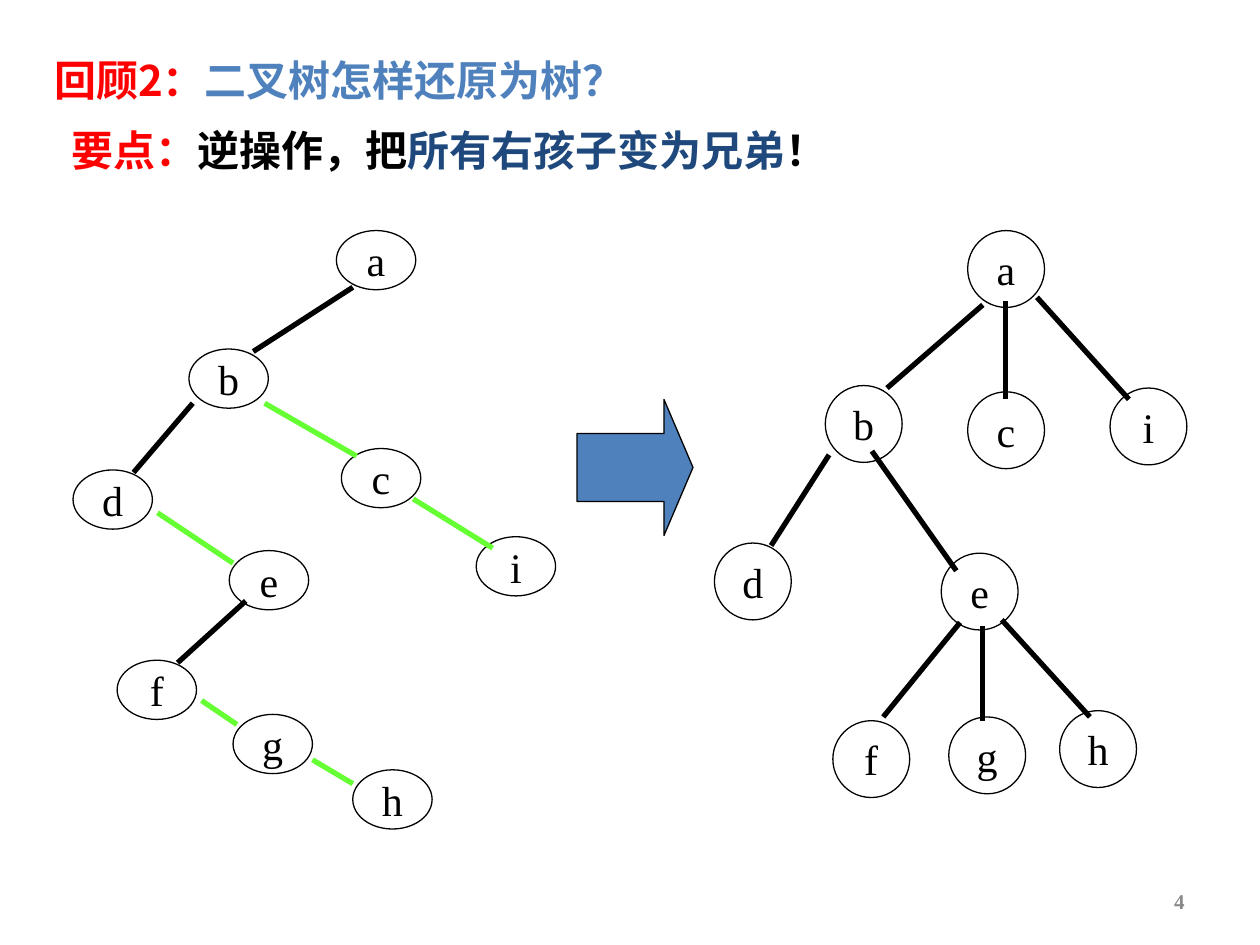
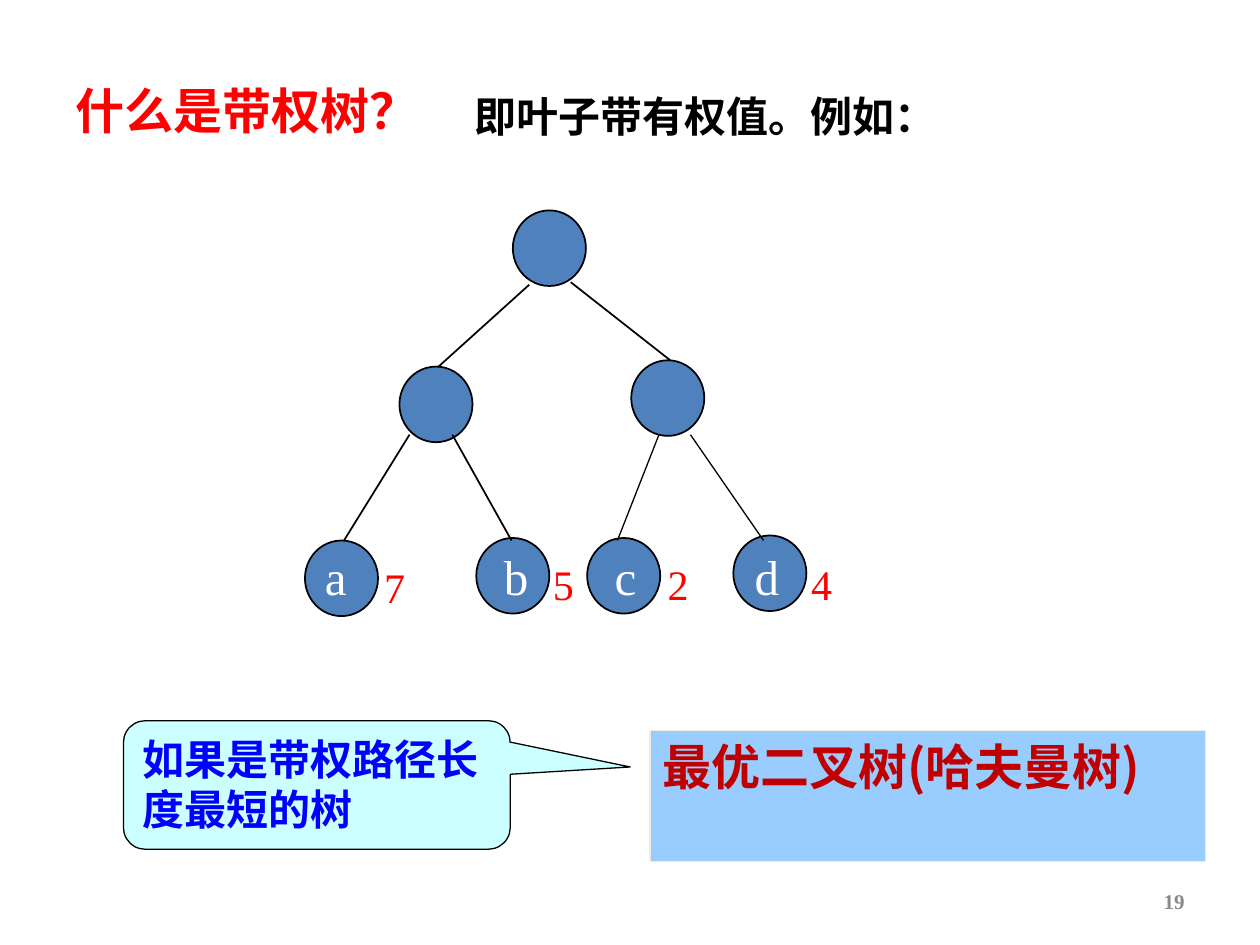
from dataclasses import dataclass

from pptx import Presentation
from pptx.dml.color import RGBColor
from pptx.enum.lang import MSO_LANGUAGE_ID
from pptx.enum.shapes import MSO_CONNECTOR, MSO_SHAPE
from pptx.enum.text import MSO_ANCHOR, PP_ALIGN
from pptx.oxml.ns import qn
from pptx.util import Inches, Pt


@dataclass(frozen=True)
class Theme:
    black: str = "000000"
    white: str = "FFFFFF"
    red: str = "FF0000"
    blue: str = "4F81BD"
    navy: str = "1F497D"
    green: str = "66FF33"
    gray: str = "898989"
    dark_red: str = "C00000"
    bright_blue: str = "0000FF"
    pale_blue: str = "99CCFF"
    pale_cyan: str = "CCFFFF"
    cream: str = "EEECE1"
    chinese: str = "Noto Sans CJK SC"
    heading: str = "Calibri"
    serif: str = "Times New Roman"
    large: int = 28
    normal: int = 24
    small: int = 12


theme = Theme()
presentation = Presentation()
presentation.slide_width = Inches(10)
presentation.slide_height = Inches(7.5)
COLUMN = presentation.slide_width / 100
ROW = presentation.slide_height / 75


def grid(*lengths):
    """Turn alternating columns and rows into slide lengths."""
    return [round(length * (ROW if index % 2 else COLUMN))
            for index, length in enumerate(lengths)]


def write(frame, *runs, size=theme.normal, font=theme.serif, bold=False,
          align=PP_ALIGN.LEFT, anchor=MSO_ANCHOR.TOP, wrap=True):
    """Fill the frame with one paragraph of (text, colour) runs."""
    frame.word_wrap = wrap
    frame.vertical_anchor = anchor
    paragraph = frame.paragraphs[0]
    paragraph.alignment = align
    for text, color in runs:
        run = paragraph.add_run()
        run.text = text
        run.font.size = Pt(size)
        run.font.bold = bold
        run.font.name = font
        run.font.color.rgb = RGBColor.from_string(color)
        run.font.language_id = MSO_LANGUAGE_ID.SIMPLIFIED_CHINESE
        east_asian = run.font._element.makeelement(qn("a:ea"), {"typeface": theme.chinese})
        run.font._element.find(qn("a:latin")).addnext(east_asian)


# Titles and page numbers
restore_title = [("回顾2：", theme.red), ("二叉树怎样还原为树？", theme.blue)]
weight_title = [("什么是带权树？", theme.red)]
slides = []
for title_runs, title_box, size, font, page in [
    (restore_title, (3.3, 3.3, 69.2, 6), theme.normal, theme.chinese, "4"),
    (weight_title, (5, 2.5, 85, 12.5), theme.large, theme.heading, "19"),
]:
    slide = presentation.slides.add_slide(presentation.slide_layouts[5])
    title = slide.shapes.title
    title.left, title.top, title.width, title.height = grid(*title_box)
    write(title.text_frame, *title_runs, size=size, font=font, bold=True,
          anchor=MSO_ANCHOR.MIDDLE)
    number = slide.shapes.add_textbox(*grid(71.7, 69.5, 23.3, 4))
    write(number.text_frame, (page, theme.gray), size=theme.small, bold=True,
          align=PP_ALIGN.RIGHT, anchor=MSO_ANCHOR.MIDDLE)
    slides.append(slide)
restore_slide, weight_slide = slides

# Tree nodes: left and top of each, by tree
binary_nodes = [
    ("a", 26.7, 18.3), ("b", 15, 27.7), ("c", 27.1, 35.6), ("d", 5.8, 37.3),
    ("e", 18.2, 43.7), ("f", 9.3, 52.4), ("g", 18.5, 56.7), ("h", 28, 61.1),
    ("i", 37.8, 42.6),
]
restored_nodes = [
    ("a", 76.8, 18.3), ("b", 65.5, 30.6), ("c", 76.8, 31.1), ("d", 56.7, 43.1),
    ("e", 74.7, 43.9), ("f", 66.1, 57.2), ("g", 75.3, 56.9), ("h", 84.1, 56.4),
    ("i", 88.1, 30.8),
]
weighted_nodes = [
    ("", 40.7, 16.7), ("", 31.7, 29.1), ("", 50.1, 28.6),
    ("", 24.2, 42.9), ("", 37.8, 42.7), ("", 46.6, 42.7), ("", 58.2, 42.5),
]
for slide, nodes, width, height, fill, line_width in [
    (restore_slide, binary_nodes, 6.3, 4.7, None, 0.75),
    (restore_slide, restored_nodes, 6.1, 6.1, theme.white, 0.75),
    (weight_slide, weighted_nodes, 5.8, 6, theme.blue, 1),
]:
    for letter, left, top in nodes:
        node = slide.shapes.add_shape(MSO_SHAPE.OVAL, *grid(left, top, width, height))
        node.shadow.inherit = False
        if fill:
            node.fill.solid()
            node.fill.fore_color.rgb = RGBColor.from_string(fill)
        else:
            node.fill.background()
        node.line.color.rgb = RGBColor.from_string(theme.black)
        node.line.width = Pt(line_width)
        if letter:
            write(node.text_frame, (letter, theme.black), align=PP_ALIGN.CENTER,
                  anchor=MSO_ANCHOR.MIDDLE, wrap=False)

# Tree edges: from column, row to column, row
child_edges = [
    (28, 22.8, 20.1, 27.9), (15.3, 32, 10.6, 37.5), (19.5, 47.7, 14.1, 52.6),
]
sibling_edges = [
    (21, 32, 28.3, 36.2), (32.8, 39.6, 39.1, 43.5), (12.5, 40.7, 18.5, 44.7),
    (16, 55.6, 18.8, 57.5), (24.8, 60.3, 28, 62.2),
]
restored_edges = [
    (78, 24.2, 70.4, 30.8), (79.8, 23.9, 79.8, 31.7), (82.3, 23.6, 89.6, 31.7),
    (65.8, 36.1, 61.2, 43.3), (69.2, 35.8, 75.9, 45.3),
    (76.2, 49.4, 70.1, 56.9), (78, 49.7, 78, 57.2), (79.5, 49.2, 86.5, 56.9),
]
left_edges = [
    (42, 22.6, 34.8, 29.1), (45.3, 22.4, 53.2, 28.6),
    (32.5, 34.5, 27.3, 42.9), (35.9, 34.5, 40.6, 42.9),
]
right_edges = [(52.3, 34.5, 49, 42.9), (54.8, 34.5, 60.6, 42.9)]
for slide, edges, color, line_width in [
    (restore_slide, child_edges, theme.black, 3),
    (restore_slide, sibling_edges, theme.green, 3),
    (restore_slide, restored_edges, theme.black, 3),
    (weight_slide, left_edges, theme.black, 1),
    (weight_slide, right_edges, theme.black, 0.75),
]:
    for ends in edges:
        edge = slide.shapes.add_connector(MSO_CONNECTOR.STRAIGHT, *grid(*ends))
        edge.line.color.rgb = RGBColor.from_string(color)
        edge.line.width = Pt(line_width)
        properties = edge._element.spPr
        properties.append(properties.makeelement(qn("a:effectLst"), {}))

# Leaf letters and their weights
for text, left, top, width, height, color, size in [
    ("a", 24.8, 42.9, 3.7, 5.7, theme.white, theme.large),
    ("b", 39, 42.9, 4, 5.7, theme.white, theme.large),
    ("c", 47.8, 42.9, 3.7, 5.7, theme.white, theme.large),
    ("d", 58.9, 42.9, 3.9, 5.7, theme.white, theme.large),
    ("7", 29.5, 44.1, 3.7, 5, theme.red, theme.normal),
    ("5", 42.9, 43.8, 3.7, 5, theme.red, theme.normal),
    ("2", 52, 43.8, 3.7, 5, theme.red, theme.normal),
    ("4", 63.4, 43.8, 3.7, 5, theme.red, theme.normal),
]:
    label = weight_slide.shapes.add_textbox(*grid(left, top, width, height))
    write(label.text_frame, (text, color), size=size, wrap=False)

# Key sentences beside the titles
key_point = [("要点：", theme.red), ("逆操作，把", theme.black),
             ("所有右孩子变为兄弟", theme.navy), ("！", theme.black)]
definition = [("即叶子带有权值。例如：", theme.black)]
for slide, box, runs in [
    (restore_slide, (4.7, 9.4, 72.5, 5), key_point),
    (weight_slide, (36.7, 6.7, 42.5, 5), definition),
]:
    sentence = slide.shapes.add_textbox(*grid(*box))
    write(sentence.text_frame, *runs, font=theme.chinese, bold=True)

# Arrow between the trees, answer panel and callout
for slide, kind, box, adjustments, fill, outline, runs, size in [
    (restore_slide, MSO_SHAPE.RIGHT_ARROW, (45.8, 31.7, 9.2, 10.8), (0.5, 0.25),
     theme.blue, theme.black, [], theme.normal),
    (weight_slide, MSO_SHAPE.RECTANGLE, (51.6, 58, 44.1, 10.4), (),
     theme.pale_blue, theme.cream, [("最优二叉树(哈夫曼树)", theme.dark_red)], theme.large),
    (weight_slide, MSO_SHAPE.ROUNDED_RECTANGULAR_CALLOUT, (9.8, 57.2, 30.7, 10.2),
     (0.81, -0.14, 0.17), theme.pale_cyan, theme.black,
     [("如果是带权路径长度最短的树", theme.bright_blue)], theme.normal),
]:
    shape = slide.shapes.add_shape(kind, *grid(*box))
    shape.shadow.inherit = False
    for index, value in enumerate(adjustments):
        shape.adjustments[index] = value
    shape.fill.solid()
    shape.fill.fore_color.rgb = RGBColor.from_string(fill)
    shape.line.color.rgb = RGBColor.from_string(outline)
    shape.line.width = Pt(0.75)
    if runs:
        write(shape.text_frame, *runs, size=size, font=theme.chinese, bold=True)

presentation.save("out.pptx")
